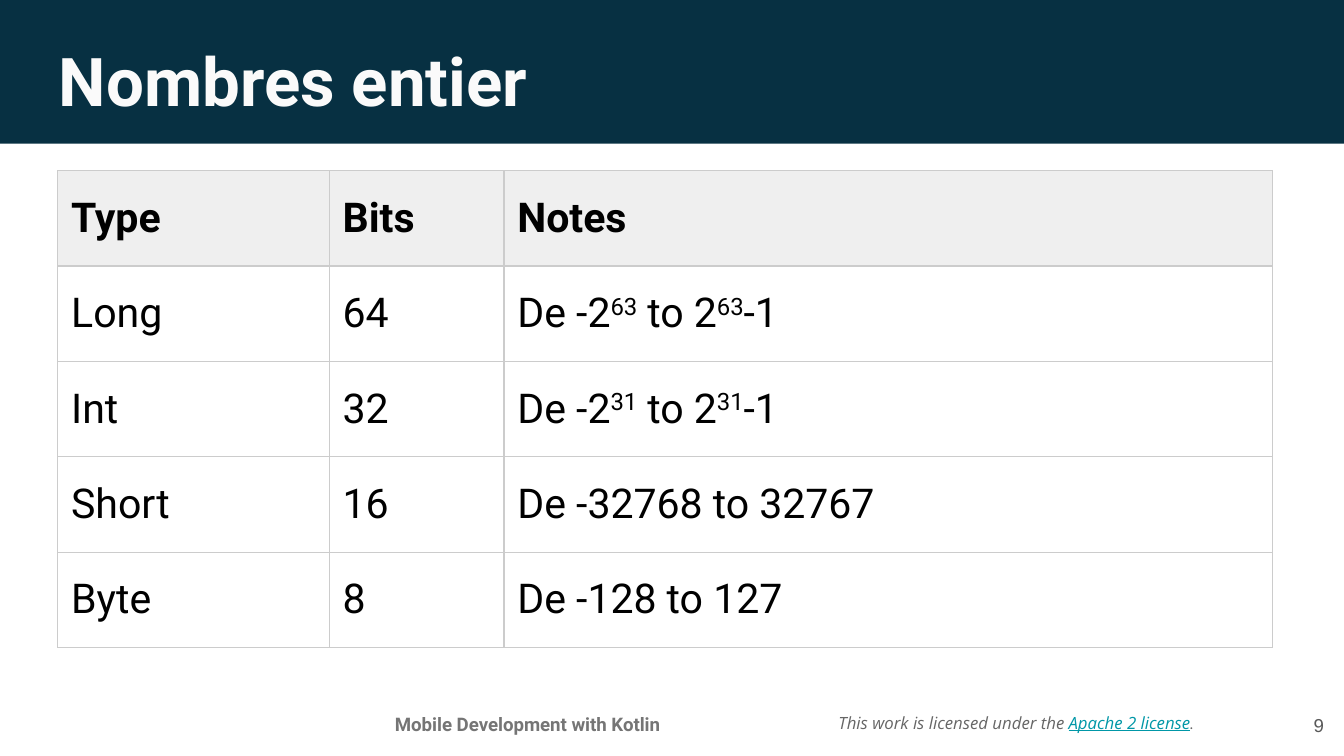
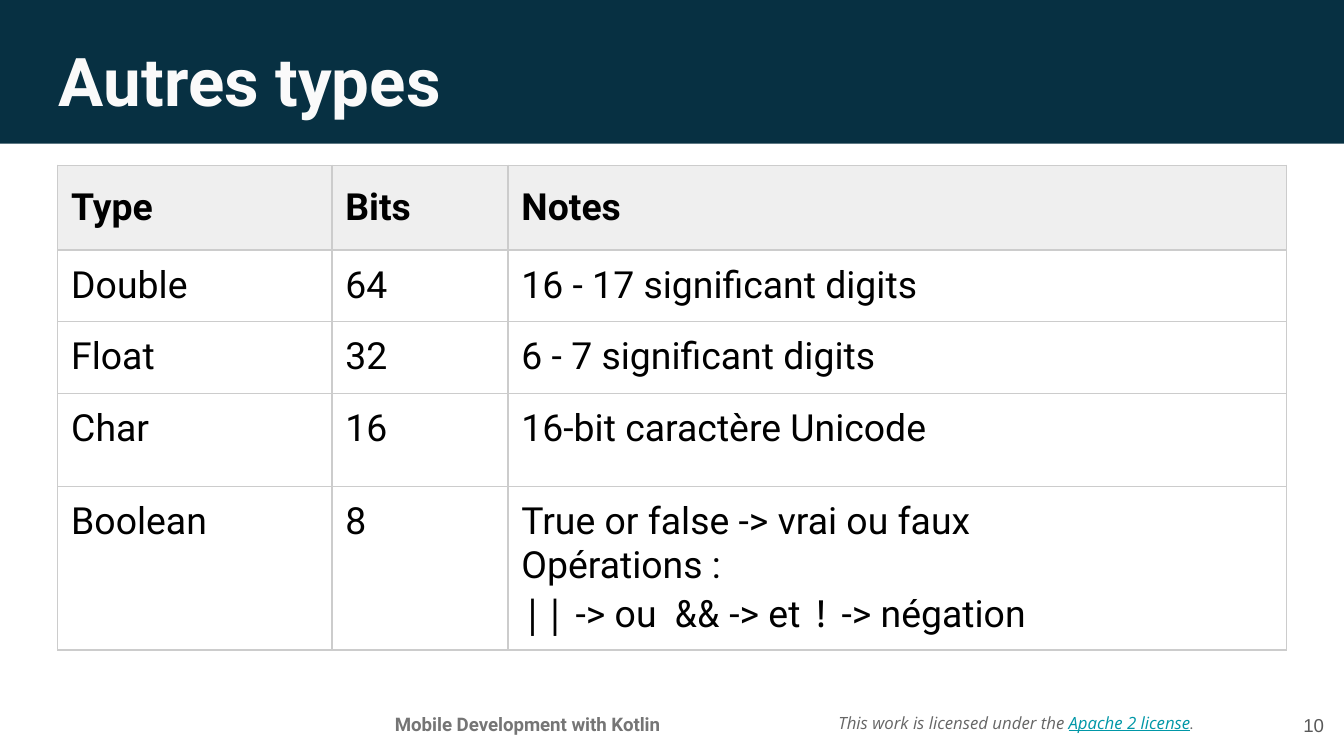
from dataclasses import dataclass

from lxml import etree
from pptx import Presentation
from pptx.dml.color import RGBColor
from pptx.enum.shapes import MSO_SHAPE as Shape
from pptx.enum.text import MSO_ANCHOR as Anchor, PP_ALIGN as Align
from pptx.oxml.ns import qn
from pptx.util import Inches, Pt


@dataclass(frozen=True)
class Theme:
    band: str = "073042"
    title: str = "FAFAFA"
    text: str = "000000"
    course: str = "757575"
    licence: str = "666666"
    link: str = "0097A7"
    number: str = "595959"
    header: str = "EFEFEF"
    border: str = "CCCCCC"
    font: str = "Roboto"
    mono: str = "Noto Sans Mono"
    licence_font: str = "Open Sans"
    number_font: str = "Arial"
    title_size: float = 36
    footer_size: float = 10
    licence_size: float = 9
    border_width: float = 0.75
    inset: float = 0.1


THEME = Theme()


@dataclass(frozen=True)
class Run:
    text: str
    font: str = THEME.font
    color: str = THEME.text
    bold: bool = False
    italic: bool = False
    underline: bool = False
    superscript: bool = False


Paragraph = list[Run]
Cell = str | list[Paragraph]


@dataclass(frozen=True)
class TypeTable:
    title: str
    number: int
    left: float
    top: float
    cols: list[float]
    heights: list[float]
    size: float
    body_anchor: Anchor
    rows: list[list[Cell]]


def power_range(exponent: int) -> list[Paragraph]:
    """Notes for a signed integer whose bounds are powers of two."""
    power = Run(str(exponent), superscript=True)
    return [[Run("De -2"), power, Run(" to 2"), power, Run("-1")]]


HEADINGS: list[Cell] = ["Type", "Bits", "Notes"]
BOOLEAN_NOTES: list[Paragraph] = [
    [Run("True or false -> vrai ou faux\nOpérations :")],
    [Run("||", THEME.mono), Run(" -> ou  "), Run("&&", THEME.mono),
     Run(" -> et "), Run("!", THEME.mono), Run(" -> négation")],
]

TABLES = [
    TypeTable("Nombres entier", 9, 0.43, 1.27, [2.02, 1.3, 5.72], [0.71] * 5,
              22, Anchor.MIDDLE, [
                  ["Long", "64", power_range(63)],
                  ["Int", "32", power_range(31)],
                  ["Short", "16", "De -32768 to 32767"],
                  ["Byte", "8", "De -128 to 127"],
              ]),
    TypeTable("Autres types", 10, 0.43, 1.23, [2.04, 1.31, 5.79],
              [0.63, 0.53, 0.5, 0.69, 1.22], 20, Anchor.TOP, [
                  ["Double", "64", "16 - 17 significant digits"],
                  ["Float", "32", "6 - 7 significant digits"],
                  ["Char", "16", "16-bit caractère Unicode"],
                  ["Boolean", "8", BOOLEAN_NOTES],
              ]),
]


# Text
def add_run(p, run: Run, size: float, bold: bool = False) -> None:
    for i, line in enumerate(run.text.split("\n")):
        if i:
            p.add_line_break()
        r = p.add_run()
        r.text = line
        r.font.name = run.font
        r.font.size = Pt(size)
        r.font.color.rgb = RGBColor.from_string(run.color)
        r.font.bold = run.bold or bold
        r.font.italic = run.italic
        r.font.underline = run.underline
        if run.superscript:
            r.font._element.set("baseline", "30000")


def fill_text(tf, paragraphs: list[Paragraph], size: float, *,
              bold: bool = False, align: Align = Align.LEFT) -> None:
    for i, runs in enumerate(paragraphs):
        p = tf.add_paragraph() if i else tf.paragraphs[0]
        p.alignment = align
        for run in runs:
            add_run(p, run, size, bold)


def set_insets(frame) -> None:
    inset = Inches(THEME.inset)
    frame.margin_left = frame.margin_right = inset
    frame.margin_top = frame.margin_bottom = inset


def add_text(s, box: tuple[float, float, float, float], runs: Paragraph,
             size: float, *, align: Align = Align.LEFT,
             anchor: Anchor = Anchor.TOP) -> None:
    tf = s.shapes.add_textbox(*map(Inches, box)).text_frame
    tf.word_wrap = True
    tf.vertical_anchor = anchor
    set_insets(tf)
    fill_text(tf, [runs], size, align=align)


# Band, title and footer
def add_frame(s, title: str, number: int) -> None:
    licence = Run("This work is licensed under the ", THEME.licence_font,
                  color=THEME.licence, italic=True)
    link = Run("Apache 2 license", THEME.licence_font, color=THEME.link,
               italic=True, underline=True)
    stop = Run(".", color=THEME.licence, italic=True)
    add_text(s, (6.14, 5.14, 2.94, 0.47), [licence, link, stop],
             THEME.licence_size, anchor=Anchor.MIDDLE)

    band = s.shapes.add_shape(Shape.RECTANGLE,
                              *map(Inches, (-0.01, -0.04, 10.01, 1.11)))
    band.shadow.inherit = False
    band.fill.solid()
    band.fill.fore_color.rgb = RGBColor.from_string(THEME.band)
    band.line.fill.background()

    add_text(s, (2.51, 5.22, 2.83, 0.32),
             [Run("Mobile Development with Kotlin", color=THEME.course, bold=True)],
             THEME.footer_size, align=Align.CENTER)
    add_text(s, (0.34, 0.19, 9.32, 0.63),
             [Run(title, color=THEME.title, bold=True)], THEME.title_size)
    add_text(s, (9.35, 5.18, 0.6, 0.43),
             [Run(str(number), THEME.number_font, color=THEME.number)],
             THEME.footer_size, align=Align.RIGHT, anchor=Anchor.MIDDLE)


# Table
def set_borders(cell) -> None:
    tc_pr = cell._tc.get_or_add_tcPr()
    for i, side in enumerate(("lnL", "lnR", "lnT", "lnB")):
        ln = etree.Element(qn(f"a:{side}"), w=str(Pt(THEME.border_width)))
        fill = etree.SubElement(ln, qn("a:solidFill"))
        etree.SubElement(fill, qn("a:srgbClr"), val=THEME.border)
        tc_pr.insert(i, ln)


def format_cell(cell, content: Cell, size: float, anchor: Anchor,
                header: bool) -> None:
    paragraphs = [[Run(content)]] if isinstance(content, str) else content
    fill_text(cell.text_frame, paragraphs, size, bold=header)
    set_insets(cell)
    cell.vertical_anchor = anchor
    if header:
        cell.fill.solid()
        cell.fill.fore_color.rgb = RGBColor.from_string(THEME.header)
    else:
        cell.fill.background()
    set_borders(cell)


def add_type_table(s, spec: TypeTable) -> None:
    rows = [HEADINGS, *spec.rows]
    box = (spec.left, spec.top, sum(spec.cols), sum(spec.heights))
    table = s.shapes.add_table(len(rows), len(HEADINGS), *map(Inches, box)).table
    table.first_row = table.horz_banding = False
    for col, width in zip(table.columns, spec.cols):
        col.width = Inches(width)
    for i, (row, height) in enumerate(zip(rows, spec.heights)):
        table.rows[i].height = Inches(height)
        anchor = spec.body_anchor if i else Anchor.MIDDLE
        for j, content in enumerate(row):
            format_cell(table.cell(i, j), content, spec.size, anchor, i == 0)


def main() -> None:
    prs = Presentation()
    prs.slide_width = Inches(10)
    prs.slide_height = prs.slide_width * 9 // 16
    for spec in TABLES:
        s = prs.slides.add_slide(prs.slide_layouts[6])
        add_frame(s, spec.title, spec.number)
        add_type_table(s, spec)
    prs.save("out.pptx")


if __name__ == "__main__":
    main()
